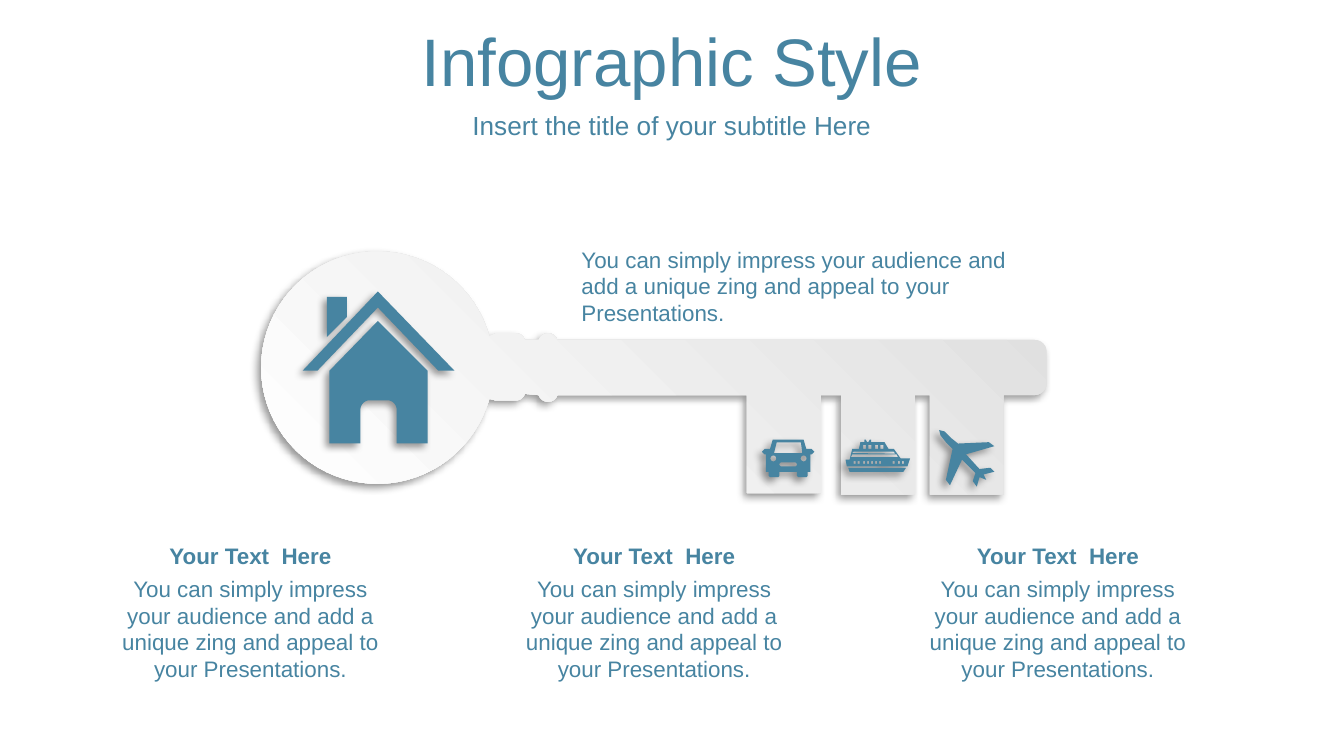
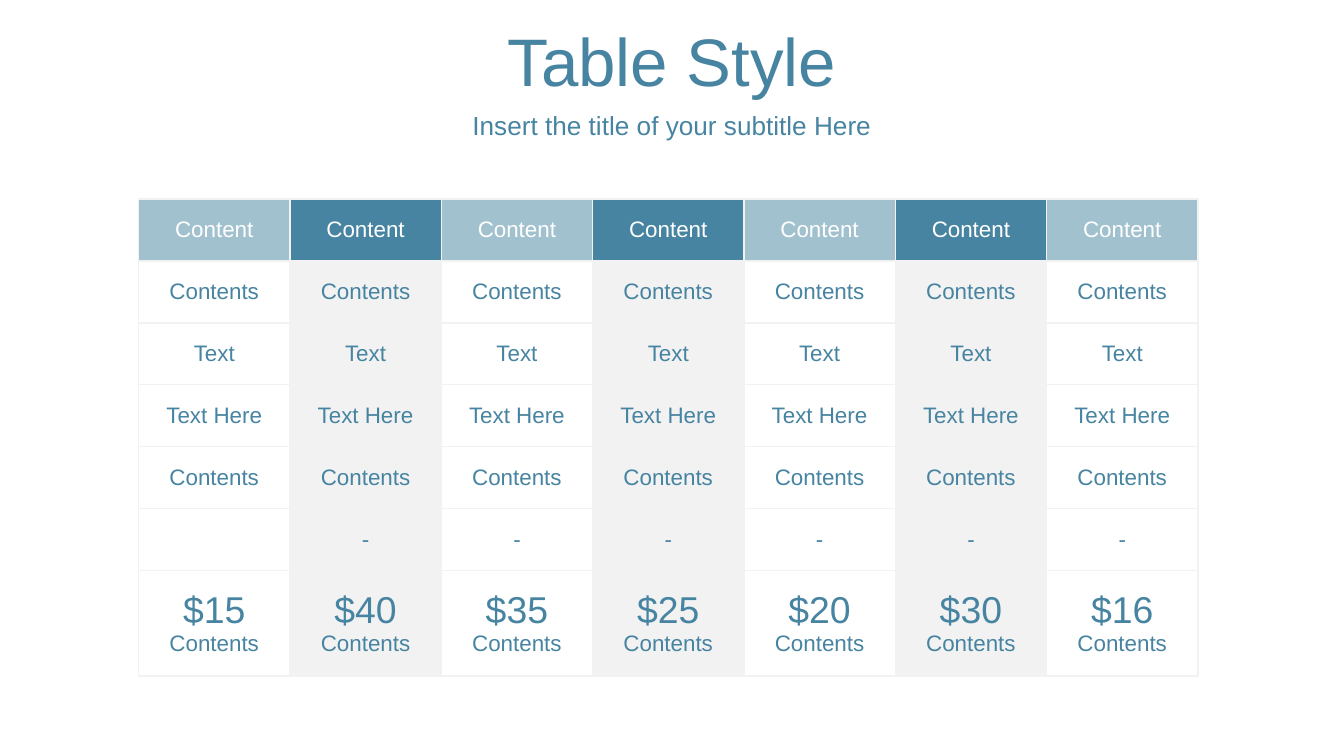
from dataclasses import dataclass
from math import cos, radians, sin
from typing import Any

from lxml.etree import SubElement
from pptx import Presentation
from pptx.dml.color import RGBColor
from pptx.enum.text import MSO_ANCHOR as ANCHOR, MSO_AUTO_SIZE as AUTO, PP_ALIGN as ALIGN
from pptx.oxml.ns import qn
from pptx.util import Cm, Pt


@dataclass(frozen=True)
class Theme:
    font: str = "Arial"
    blue: str = "4784A1"
    white: str = "FFFFFF"
    pale: str = "F2F2F2"
    metal: str = "DEDEDE"
    shadow: str = "000000"
    title: int = 36
    price: int = 20
    subtitle: int = 14
    body: int = 12


GRID = Cm(2.54) / 100
SUBTITLE = "Insert the title of your subtitle Here"
PITCH = "You can simply impress your audience and add a unique zing and appeal to your Presentations."


def arc(cx, cy, radius, start, end, steps=8):
    angles = [radians(start + (end - start) * i / steps) for i in range(steps + 1)]
    return [(cx + radius * cos(a), cy + radius * sin(a)) for a in angles]


def box(left, top, width, height):
    right, bottom = left + width, top + height
    return [(left, top), (right, top), (right, bottom), (left, bottom)]


def tooth(left, right, bottom):
    return [(right, 107), (right, bottom), (left, bottom), (left, 107)]


KEY = [
    arc(86, 86.5, 86.5, 15.6, 344.4, 72)
    + [(174, 61)] + arc(189, 68, 7, 270, 343)
    + arc(213, 68.4, 7.4, 199, 341)
    + arc(575, 75, 9, 270, 360) + arc(575, 98, 9, 0, 90)
    + tooth(497, 552, 181) + tooth(431, 486, 181) + tooth(361, 416, 180)
    + arc(213, 104.6, 7.4, 19, 161)
    + arc(189, 104, 7, 17, 90) + [(174, 111)]
]

HOUSE = [
    [(56, 22), (93, 59), (93, 113), (70, 113)]
    + arc(63, 88, 7, 0, -90) + arc(50, 88, 7, 270, 180)
    + [(43, 113), (20, 113), (20, 59)],
    [(18, 4), (33, 4), (33, 19), (18, 34)],
    [(56, 0), (113, 59), (101, 59), (56, 12), (11, 59), (0, 59)],
]

CAR = [
    [(8, 0), (31, 0), (33, 7), (37, 7), (39, 9), (37, 11), (36, 11), (36, 24),
     (34, 24), (34, 27), (33, 28), (27, 28), (26, 27), (26, 24), (13, 24), (13, 27),
     (12, 28), (6, 28), (5, 27), (5, 24), (3, 24), (3, 11), (2, 11), (0, 9), (2, 7), (6, 7)],
    [(11, 2), (9, 10), (30, 10), (29, 2)],
    [(14, 17), (25, 17), (26, 18), (26, 19), (25, 20), (14, 20), (13, 19), (13, 18)],
    *[arc(x, 14, 2.2, 0, 360, 16) for x in (8.5, 31)],
]

SHIP = [
    [(18, 0), (19, 0), (19, 2), (29, 2), (32, 7), (36, 7), (41, 14), (48, 14),
     (46, 20), (1, 20), (0, 15), (3, 15), (5, 7), (10, 7), (11, 2), (14, 2),
     (14, 0), (15, 0), (16, 2), (17, 2)],
    [(2, 21), (45, 21), (43, 24), (3, 24)],
    [(5, 11), (4, 13), (39, 13), (38, 11)],
    [(6, 9), (5, 10), (37, 10.5), (36, 9)],
    *[box(x, 16, 1.5, 2) for x in (6, 9, 13, 16, 19, 22, 25, 35, 39, 42)],
    *[box(x, 4, 2.2, 3) for x in (13, 17, 22, 26)],
]

PLANE = [
    [(41, 31), (33, 33), (35, 37), (30, 35), (28, 42), (25, 38), (27, 32), (17, 22),
     (8, 41), (5, 37), (10, 14), (5, 9), (1, 4), (0, 0), (4, 1), (9, 6), (14, 10),
     (37, 9), (41, 12), (20, 18), (30, 29), (38, 28)],
]


@dataclass
class Deck:
    prs: Any
    theme: Theme
    slide: Any = None

    def add_slide(self, title):
        t = self.theme
        self.slide = self.prs.slides.add_slide(self.prs.slide_layouts[6])
        self.heading(title, 0.33, 1.6, t.title)
        self.heading(SUBTITLE, 1.96, 0.79, t.subtitle)

    def run(self, p, words, size, color, bold=None, align=ALIGN.CENTER):
        p.alignment = align
        r = p.add_run()
        r.text = words
        r.font.name, r.font.size, r.font.bold = self.theme.font, Pt(size), bold
        r.font.color.rgb = RGBColor.from_string(color)

    def text(self, words, left, top, width, height, parent=None, **style):
        shapes = (parent or self.slide).shapes
        sp = shapes.add_textbox(Cm(left), Cm(top), Cm(width), Cm(height))
        tf = sp.text_frame
        tf.word_wrap = True
        tf.auto_size = AUTO.SHAPE_TO_FIT_TEXT
        style = {"size": self.theme.body, "color": self.theme.blue, **style}
        self.run(tf.paragraphs[0], words, **style)
        return tf

    def heading(self, words, top, height, size):
        tf = self.text(words, 0, top, 25.4, height, size=size)
        tf.auto_size = AUTO.NONE
        tf.vertical_anchor = ANCHOR.MIDDLE
        tf.paragraphs[0].space_before = Pt(size * 0.2)

    def caption(self, left):
        group = self.slide.shapes.add_group_shape()
        self.text(PITCH, left, 10.74, 5.87, 2.31, group)
        self.text("Your Text  Here", left, 10.13, 5.87, 0.76, group, bold=True)

    def outline(self, contours, left, top):
        scaled = [[(x * GRID, y * GRID) for x, y in c] for c in contours]
        builder = self.slide.shapes.build_freeform(*scaled[0][0])
        for i, points in enumerate(scaled):
            if i:
                builder.move_to(*points[0])
            builder.add_line_segments(points[1:], close=True)
        sp = builder.convert_to_shape(Cm(left), Cm(top))
        sp.fill.solid()
        sp.fill.fore_color.rgb = RGBColor.from_string(self.theme.blue)
        sp.line.fill.background()
        self.cast_shadow(sp)
        return sp

    def cast_shadow(self, sp):
        sp.shadow.inherit = False
        effects = sp.element.spPr.find(qn("a:effectLst"))
        shadow = SubElement(effects, qn("a:outerShdw"), blurRad=str(Pt(4)), dist=str(Pt(3)),
                            dir=str(135 * 60000), algn="tr", rotWithShape="0")
        color = SubElement(shadow, qn("a:srgbClr"), val=self.theme.shadow)
        SubElement(color, qn("a:alpha"), val="40000")

    def shade(self, sp, start, end, angle):
        sp.fill.gradient()
        sp.fill.gradient_angle = angle
        for stop, position, color in zip(sp.fill.gradient_stops, (0, 1), (start, end)):
            stop.position = position
            stop.color.rgb = RGBColor.from_string(color)

    def cell(self, cell, lines, color, fill=None, alpha=None):
        cell.vertical_anchor = ANCHOR.MIDDLE
        tc_pr = cell._tc.get_or_add_tcPr()
        for side in ("lnL", "lnR", "lnT", "lnB"):
            ln = SubElement(tc_pr, qn(f"a:{side}"), w=str(Pt(1)))
            SubElement(SubElement(ln, qn("a:solidFill")), qn("a:srgbClr"), val=self.theme.pale)
        if fill:
            cell.fill.solid()
            cell.fill.fore_color.rgb = RGBColor.from_string(fill)
        else:
            cell.fill.background()
        if alpha:
            paint = tc_pr.find(qn("a:solidFill")).find(qn("a:srgbClr"))
            SubElement(paint, qn("a:alpha"), val=str(alpha * 1000))
        tf = cell.text_frame
        for i, (words, size) in enumerate(lines):
            p = tf.add_paragraph() if i else tf.paragraphs[0]
            self.run(p, words, size, color)

    def table(self, rows, left, top, col_width, heights):
        t = self.theme
        n = len(rows[0])
        frame = self.slide.shapes.add_table(len(rows), n, Cm(left), Cm(top),
                                            Cm(col_width * n), Cm(sum(heights)))
        table = frame.table
        table.first_row = table.horz_banding = False
        for column in table.columns:
            column.width = Cm(col_width)
        for i, (row, height) in enumerate(zip(rows, heights)):
            table.rows[i].height = Cm(height)
            for j, lines in enumerate(row):
                banded = j % 2 == 1
                if i == 0:
                    self.cell(table.cell(i, j), lines, t.white, t.blue, None if banded else 50)
                else:
                    self.cell(table.cell(i, j), lines, t.blue, t.pale if banded else None)


def key_slide(deck):
    deck.add_slide("Infographic Style")
    key = deck.outline(KEY, 4.95, 4.75)
    deck.shade(key, deck.theme.metal, deck.theme.white, 225)
    deck.outline(HOUSE, 5.72, 5.51)
    deck.outline(SHIP, 15.98, 8.31)
    deck.outline(PLANE, 17.75, 8.13)
    deck.outline(CAR, 14.4, 8.31)
    for i in range(3):
        deck.caption(1.8 + 7.63 * i)
    deck.text(PITCH, 10.74, 4.52, 8.84, 1.8, align=ALIGN.LEFT)


def table_slide(deck):
    deck.add_slide("Table Style")
    body, price = deck.theme.body, deck.theme.price
    prices = (15, 40, 35, 25, 20, 30, 16)
    labels = ("Content", "Contents", "Text", "Text Here", "Contents")
    rows = [[[(label, body)]] * len(prices) for label in labels]
    rows.append([[]] + [[("-", body)]] * (len(prices) - 1))
    rows.append([[(f"${p}", price), ("Contents", body)] for p in prices])
    deck.table(rows, 2.62, 3.76, 2.86, [1.17] * 6 + [2])


def main():
    prs = Presentation()
    prs.slide_width, prs.slide_height = Cm(25.4), Cm(14.29)
    deck = Deck(prs, Theme())
    key_slide(deck)
    table_slide(deck)
    prs.save("out.pptx")


if __name__ == "__main__":
    main()
